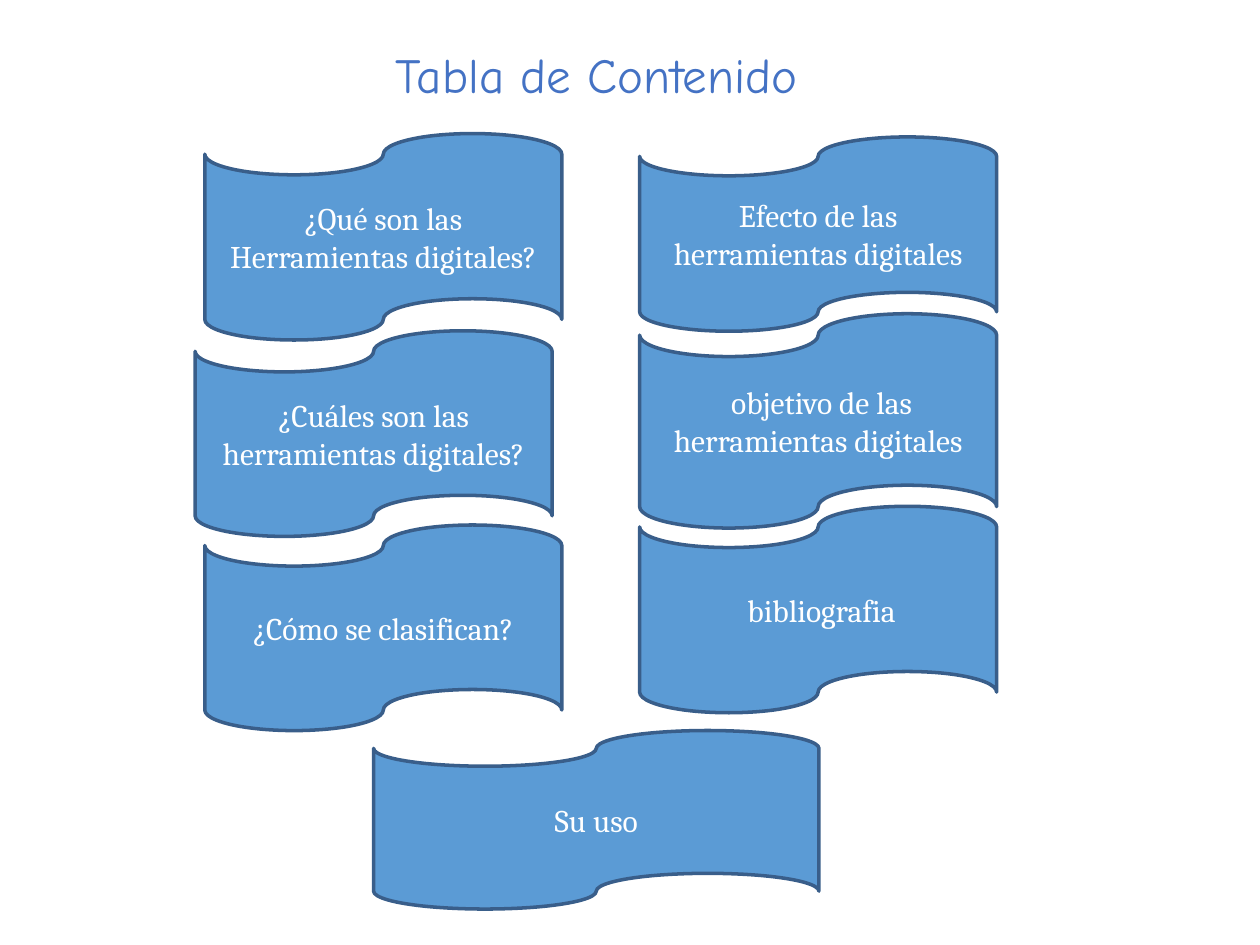
"""Build a table-of-contents slide with seven punched-tape banners."""
from pptx import Presentation
from pptx.dml.color import RGBColor
from pptx.enum.shapes import MSO_SHAPE
from pptx.enum.text import MSO_ANCHOR, MSO_AUTO_SIZE, PP_ALIGN
from pptx.util import Pt

COLORS = {"title": "4472C4", "banner": "5B9BD5", "outline": "395E8A", "text": "FFFFFF"}


def write_text(frame, text, *, font, size, color, align, anchor, wrap=True):
    frame.auto_size = MSO_AUTO_SIZE.NONE
    frame.word_wrap = wrap
    frame.vertical_anchor = anchor
    frame.margin_left = frame.margin_right = Pt(7.2)
    frame.margin_top = frame.margin_bottom = Pt(3.6)
    paragraph = frame.paragraphs[0]
    paragraph.alignment = align
    run = paragraph.add_run()
    run.text = text
    run.font.name = font
    run.font.size = Pt(size)
    run.font.color.rgb = RGBColor.from_string(COLORS[color])


presentation = Presentation()
presentation.slide_width, presentation.slide_height = Pt(720), Pt(540)
slide = presentation.slides.add_slide(presentation.slide_layouts[5])

title = slide.shapes.title
title.left, title.top, title.width, title.height = Pt(219), Pt(21.6), Pt(266.4), Pt(41)
write_text(title.text_frame, "Tabla de Contenido", font="Comic Neue", size=28,
           color="title", align=PP_ALIGN.LEFT, anchor=MSO_ANCHOR.TOP, wrap=False)

COLUMN_WIDTH, LEFT_COLUMN, RIGHT_COLUMN = 204, 117, 365.5
banners = [
    ("¿Qué son las Herramientas digitales?", LEFT_COLUMN, 76.3, COLUMN_WIDTH, 118),
    ("¿Cuáles son las herramientas digitales?", 111.5, 189, COLUMN_WIDTH, 117.5),
    ("¿Cómo se clasifican?", LEFT_COLUMN, 300, COLUMN_WIDTH, 117.5),
    ("Su uso", 213.5, 417.5, 254.5, 102),
    ("Efecto de las herramientas digitales", RIGHT_COLUMN, 78.3, COLUMN_WIDTH, 111),
    (" objetivo de las herramientas digitales", RIGHT_COLUMN, 179.3, COLUMN_WIDTH, 122.5),
    (" bibliografia", RIGHT_COLUMN, 289.3, COLUMN_WIDTH, 118),
]
for text, left, top, width, height in banners:
    banner = slide.shapes.add_shape(MSO_SHAPE.FLOWCHART_PUNCHED_TAPE,
                                    Pt(left), Pt(top), Pt(width), Pt(height))
    banner.shadow.inherit = False
    banner.fill.solid()
    banner.fill.fore_color.rgb = RGBColor.from_string(COLORS["banner"])
    banner.line.color.rgb = RGBColor.from_string(COLORS["outline"])
    banner.line.width = Pt(2)
    write_text(banner.text_frame, text, font="Cambria", size=18,
               color="text", align=PP_ALIGN.CENTER, anchor=MSO_ANCHOR.MIDDLE)

presentation.save("out.pptx")
